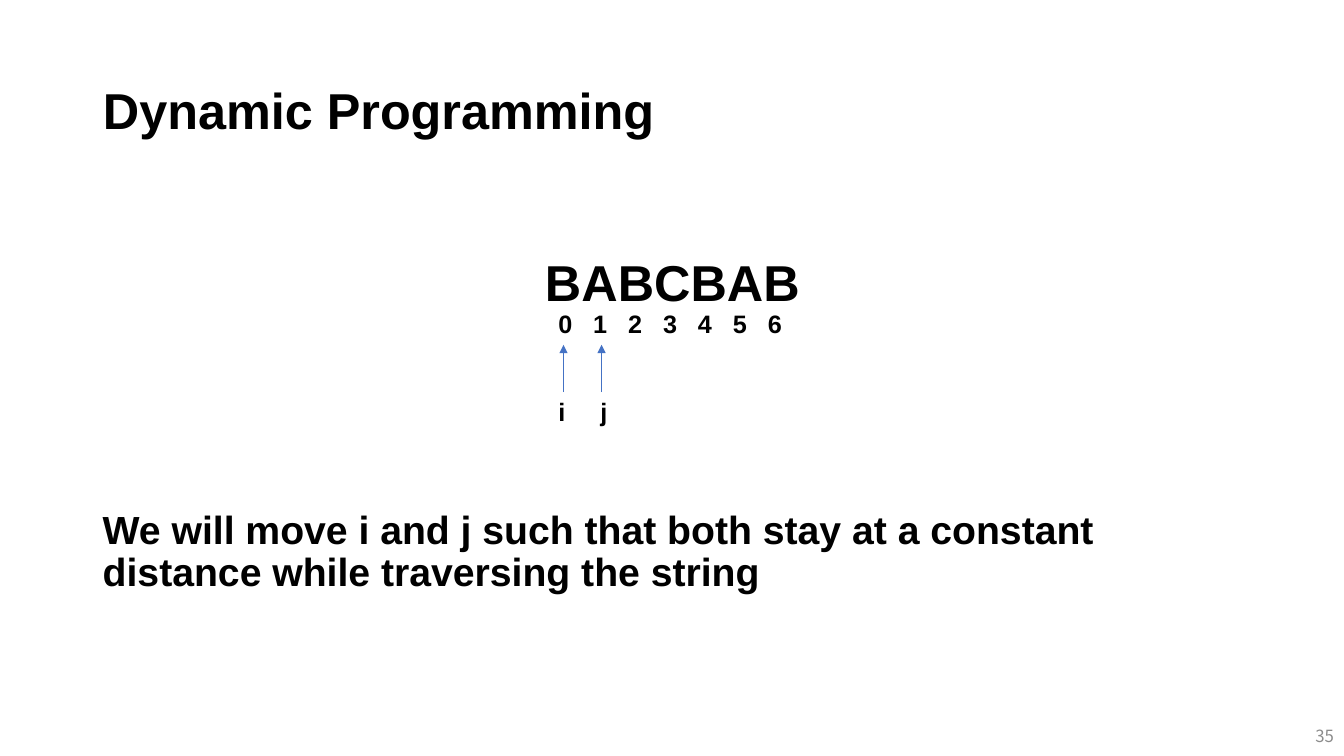
"""Build the Dynamic Programming slide with two pointers under an indexed string."""
from dataclasses import dataclass

from lxml.etree import SubElement
from pptx import Presentation
from pptx.dml.color import RGBColor
from pptx.enum.shapes import MSO_CONNECTOR
from pptx.enum.text import MSO_ANCHOR, MSO_AUTO_SIZE, PP_ALIGN
from pptx.oxml.ns import qn
from pptx.shapes.base import BaseShape
from pptx.slide import Slide
from pptx.util import Cm, Pt


@dataclass(frozen=True)
class Theme:
    font: str = "Arial"
    number_font: str = "Noto Sans CJK KR"
    ink: str = "000000"
    muted: str = "8C8C8C"
    arrow: str = "4472C4"
    heading_size: int = 36
    body_size: int = 28
    label_size: int = 18
    number_size: int = 12
    arrow_width: float = 0.5


THEME = Theme()


@dataclass(frozen=True)
class TextBlock:
    text: str
    left: float
    top: float
    width: float
    height: float
    size: int
    font: str = THEME.font
    color: str = THEME.ink
    bold: bool = True
    align: PP_ALIGN = PP_ALIGN.LEFT
    anchor: MSO_ANCHOR = MSO_ANCHOR.TOP
    line_spacing: float = 1.0
    tab_pitch: float = 0


MARGIN = 2.34
CONTENT_WIDTH = 29.21
LABEL_LEFT = 13.82
INDEX_PITCH = 0.88
POINTER_PITCH = 1.06
ARROW_TOP, ARROW_BOTTOM = 8.69, 9.88
ARROW_POSITIONS = (14.2, 15.16)

TITLE = TextBlock("Dynamic Programming", MARGIN, 1.02, CONTENT_WIDTH, 3.68,
                  THEME.heading_size, anchor=MSO_ANCHOR.MIDDLE, line_spacing=0.9)
TEXT_BLOCKS = (
    TextBlock("35", 26.25, 18.03, 7.62, 1.02, THEME.number_size, THEME.number_font,
              THEME.muted, False, PP_ALIGN.RIGHT, MSO_ANCHOR.MIDDLE),
    TextBlock("BABCBAB", MARGIN, 6.38, CONTENT_WIDTH, 3.68, THEME.heading_size,
              align=PP_ALIGN.CENTER, line_spacing=0.9),
    TextBlock("\t".join(str(index) for index in range(7)), LABEL_LEFT, 7.65, 6.4, 1.02,
              THEME.label_size, tab_pitch=INDEX_PITCH),
    TextBlock("i\tj", LABEL_LEFT, 9.86, 2, 1.02, THEME.label_size,
              tab_pitch=POINTER_PITCH),
    TextBlock("We will move i and j such that both stay at a constant distance "
              "while traversing the string", MARGIN, 12.73, CONTENT_WIDTH, 2.41,
              THEME.body_size, line_spacing=0.9),
)


def fill_text(shape: BaseShape, block: TextBlock) -> None:
    shape.left, shape.top = Cm(block.left), Cm(block.top)
    shape.width, shape.height = Cm(block.width), Cm(block.height)
    frame = shape.text_frame
    frame.text = block.text
    frame.word_wrap = True
    frame.auto_size = MSO_AUTO_SIZE.NONE
    frame.vertical_anchor = block.anchor
    paragraph = frame.paragraphs[0]
    paragraph.alignment = block.align
    paragraph.line_spacing = block.line_spacing
    if block.tab_pitch:
        tab_list = SubElement(paragraph._p.get_or_add_pPr(), qn("a:tabLst"))
        for stop in range(1, block.text.count("\t") + 1):
            SubElement(tab_list, qn("a:tab"), pos=str(Cm(stop * block.tab_pitch)), algn="l")
    for run in paragraph.runs:
        run.font.name = block.font
        run.font.size = Pt(block.size)
        run.font.bold = block.bold
        run.font.color.rgb = RGBColor.from_string(block.color)


def add_pointer_arrow(slide: Slide, position: float) -> None:
    arrow = slide.shapes.add_connector(MSO_CONNECTOR.STRAIGHT, Cm(position), Cm(ARROW_BOTTOM),
                                       Cm(position), Cm(ARROW_TOP))
    arrow.line.color.rgb = RGBColor.from_string(THEME.arrow)
    arrow.line.width = Pt(THEME.arrow_width)
    SubElement(arrow.line._get_or_add_ln(), qn("a:tailEnd"), type="triangle")
    SubElement(arrow._element.spPr, qn("a:effectLst"))


def main() -> None:
    presentation = Presentation()
    presentation.slide_width, presentation.slide_height = Cm(33.87), Cm(19.05)
    slide = presentation.slides.add_slide(presentation.slide_layouts.get_by_name("Title Only"))
    fill_text(slide.shapes.title, TITLE)
    for block in TEXT_BLOCKS:
        fill_text(slide.shapes.add_textbox(0, 0, 0, 0), block)
    for position in ARROW_POSITIONS:
        add_pointer_arrow(slide, position)
    presentation.save("out.pptx")


if __name__ == "__main__":
    main()
